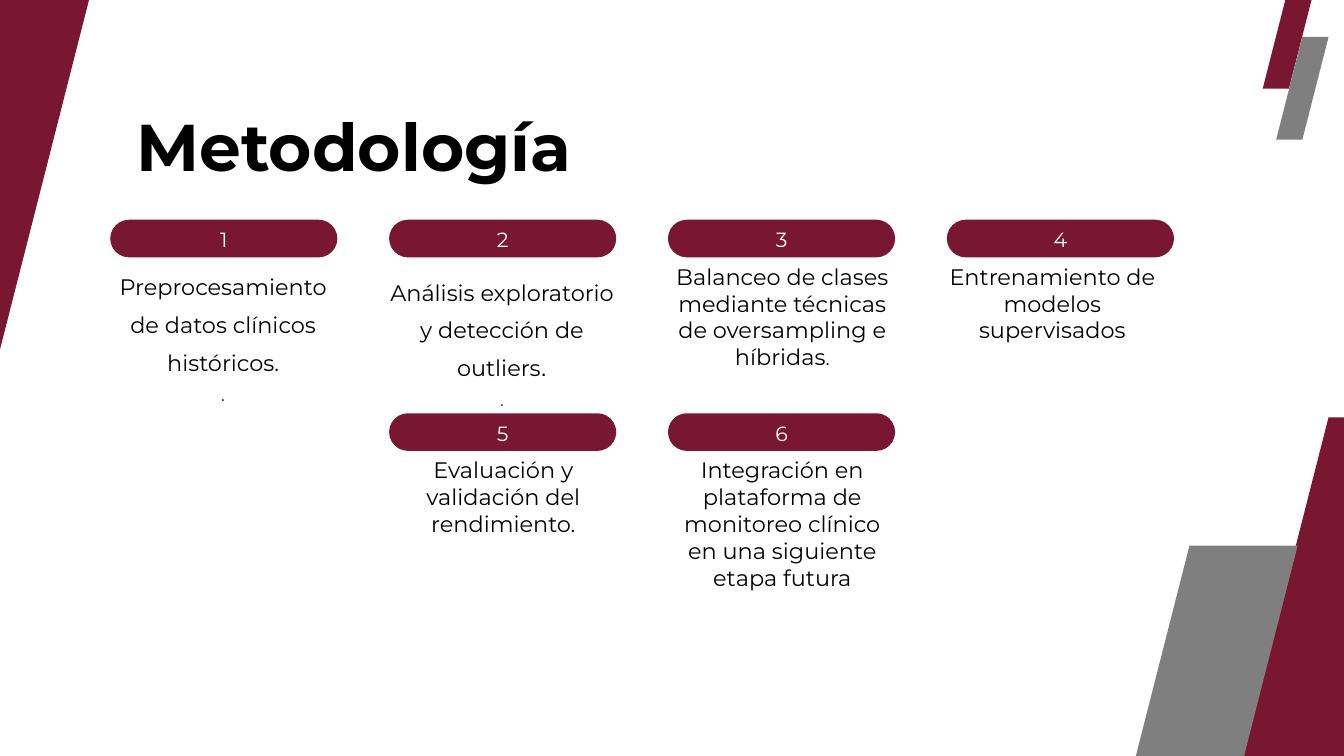
from dataclasses import dataclass

from pptx import Presentation
from pptx.dml.color import RGBColor
from pptx.enum.shapes import MSO_SHAPE
from pptx.enum.text import MSO_ANCHOR, MSO_AUTO_SIZE, PP_ALIGN
from pptx.util import Inches, Pt

PILL = MSO_SHAPE.ROUNDED_RECTANGLE
SLANT = MSO_SHAPE.PARALLELOGRAM
CENTER, LEFT = PP_ALIGN.CENTER, PP_ALIGN.LEFT
TOP, MIDDLE = MSO_ANCHOR.TOP, MSO_ANCHOR.MIDDLE
FIT, NO_FIT = MSO_AUTO_SIZE.SHAPE_TO_FIT_TEXT, MSO_AUTO_SIZE.NONE


@dataclass(frozen=True)
class Theme:
    wine: str = "791632"
    gray: str = "7F7F7F"
    black: str = "000000"
    white: str = "FFFFFF"
    ink: str = "2A2E3A"
    font: str = "Montserrat"
    alt_font: str = "Arial"
    title: float = 70.8
    number: float = 22
    body: float = 24
    small: float = 20
    dot: float = 18.5


T = Theme()

# Step grid, in inches
GRID_LEFT, GRID_TOP = 1.64, 3.27
COL_PITCH, ROW_PITCH = 4.15, 2.88
PILL_W, PILL_H = 3.38, 0.56
CAPTION_W, CAPTION_GAP = 3.4, 0.64

# Slanted bands: left, top, width, height, colour
BANDS = [
    (18.16, 6.21, 3.22, 6.32, T.wine),
    (-1.5, -0.69, 3, 5.89, T.wine),
    (18.79, -0.21, 0.78, 1.53, T.wine),
    (18.99, 0.55, 0.78, 1.53, T.gray),
    (16.09, 8.12, 3.22, 6.32, T.gray),
]


def run(text, size=T.body, font=T.font, color=T.black):
    return text, size, font, color


# Steps: column, row, caption shift (x, y), caption height, line spacing, paragraphs
STEPS = [
    (0, 0, -0.02, 0, 2.13, 1.4,
     [[run("Preprocesamiento de datos clínicos históricos.")],
      [run(".", T.dot, T.alt_font, T.ink)]]),
    (1, 0, -0.02, 0.08, 2.13, 1.4,
     [[run("Análisis exploratorio y detección de outliers"),
       run(".", font=T.alt_font)],
      [run(".", T.dot, color=T.ink)]]),
    (2, 0, 0, 0, 1.62, 1,
     [[run("Balanceo de clases mediante técnicas de oversampling e híbridas"),
       run(".", T.small)]]),
    (3, 0, -0.13, 0, 1.21, 1, [[run("Entrenamiento de modelos supervisados")]]),
    (1, 1, 0, 0, 1.21, 1, [[run("Evaluación y validación del rendimiento.")]]),
    (2, 1, 0, 0, 2.02, 1,
     [[run("Integración en plataforma de monitoreo clínico en una siguiente etapa futura")]]),
]


def inches(*values):
    return [Inches(v) for v in values]


def set_font(font, size, name, color, bold=False):
    font.size, font.name, font.bold = Pt(size), name, bold
    font.color.rgb = RGBColor.from_string(color)


def set_frame(tf, anchor=TOP, fit=NO_FIT, bottom=0):
    tf.word_wrap, tf.auto_size, tf.vertical_anchor = True, fit, anchor
    tf.margin_left = tf.margin_right = tf.margin_top = 0
    tf.margin_bottom = Inches(bottom)


def add_filled(slide, kind, box, color):
    sp = slide.shapes.add_shape(kind, *inches(*box))
    sp.shadow.inherit = False
    sp.fill.solid()
    sp.fill.fore_color.rgb = RGBColor.from_string(color)
    sp.line.fill.background()
    sp.adjustments[0] = 0.5
    return sp


def add_title(slide, box, text):
    sp = slide.shapes.title
    sp.left, sp.top, sp.width, sp.height = inches(*box)
    set_frame(sp.text_frame)
    p = sp.text_frame.paragraphs[0]
    p.text, p.alignment, p.line_spacing = text, LEFT, 1.2
    set_font(p.font, T.title, T.font, T.black, bold=True)


def add_pill(slide, box, number):
    sp = add_filled(slide, PILL, box, T.wine)
    set_frame(sp.text_frame, MIDDLE, bottom=0.08)
    p = sp.text_frame.paragraphs[0]
    p.text, p.alignment, p.line_spacing = str(number), CENTER, 1.3
    set_font(p.font, T.number, T.font, T.white)


def add_caption(slide, box, paragraphs, spacing):
    tf = slide.shapes.add_textbox(*inches(*box)).text_frame
    set_frame(tf, fit=FIT)
    for i, runs in enumerate(paragraphs):
        p = tf.add_paragraph() if i else tf.paragraphs[0]
        p.alignment, p.line_spacing = CENTER, spacing
        for text, *style in runs:
            r = p.add_run()
            r.text = text
            set_font(r.font, *style)


def add_steps(slide, left, top):
    for number, (col, row, dx, dy, height, spacing, paragraphs) in enumerate(STEPS, 1):
        x, y = left + col * COL_PITCH, top + row * ROW_PITCH
        add_pill(slide, (x, y, PILL_W, PILL_H), number)
        add_caption(slide, (x + dx, y + CAPTION_GAP + dy, CAPTION_W, height),
                    paragraphs, spacing)


def main():
    prs = Presentation()
    prs.slide_width, prs.slide_height = inches(20, 11.25)
    slide = prs.slides.add_slide(prs.slide_layouts[5])

    add_title(slide, (2.03, 1.34, 10.08, 1.45), "Metodología")
    for *box, color in BANDS:
        add_filled(slide, SLANT, box, color)
    add_steps(slide, GRID_LEFT, GRID_TOP)

    prs.save("out.pptx")


if __name__ == "__main__":
    main()
